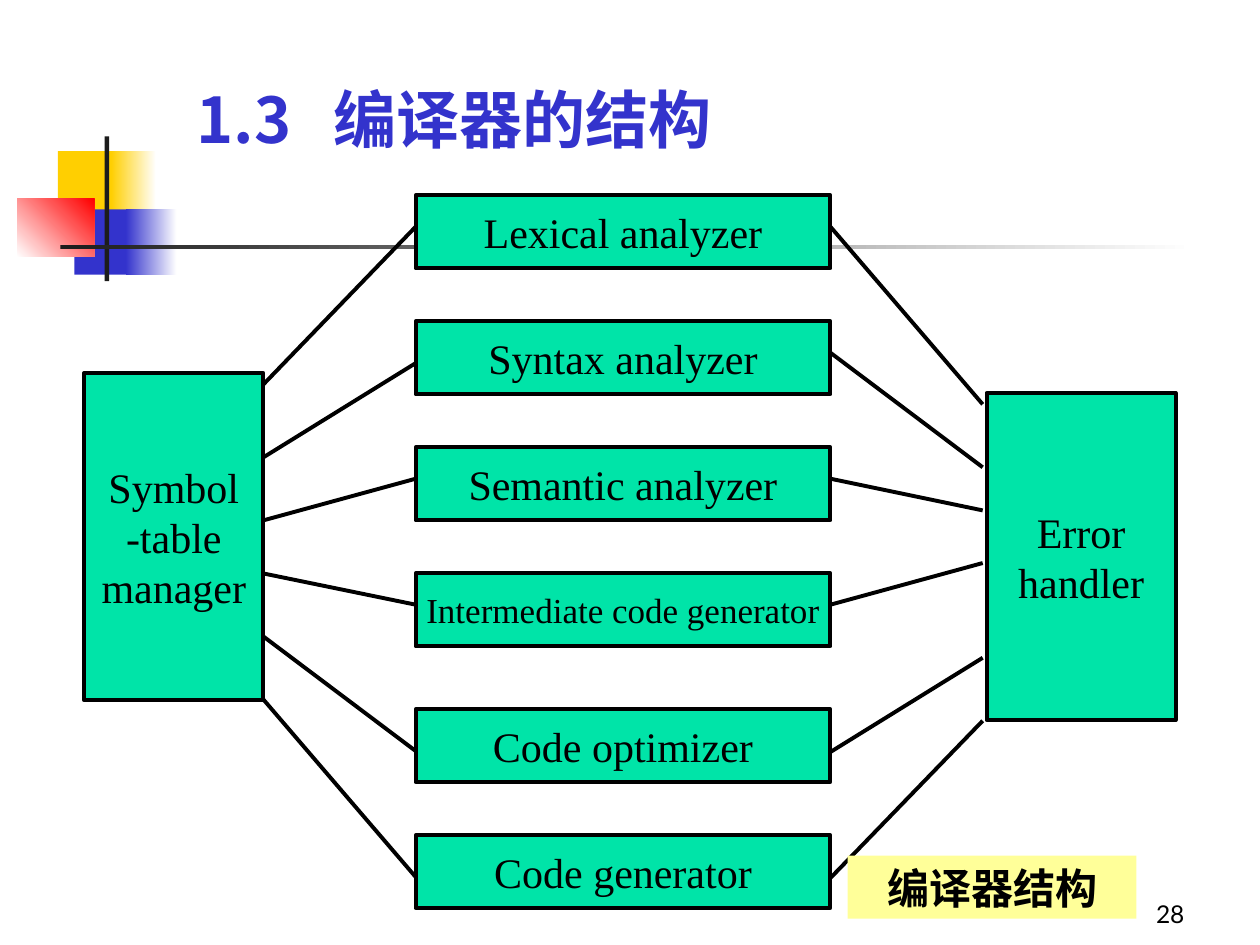
from dataclasses import dataclass

from lxml import etree
from pptx import Presentation
from pptx.dml.color import RGBColor
from pptx.enum import shapes, text
from pptx.oxml import ns
from pptx.util import Cm, Pt


@dataclass(frozen=True)
class Theme:
    black: str = "000000"
    white: str = "FFFFFF"
    dark: str = "1C1C1C"
    yellow: str = "FFCF01"
    blue: str = "3333CC"
    red: str = "FF0000"
    box: str = "00E4A8"
    label: str = "FFFF99"
    serif: str = "Times New Roman"
    chinese: str = "Noto Sans CJK SC"
    number: str = "Lato"
    title_size: int = 36
    body_size: int = 24
    small_size: int = 20
    number_size: int = 14
    line_width: float = 2.25


@dataclass(frozen=True)
class Area:
    """A rectangle in centimetres."""
    left: float
    top: float
    width: float
    height: float

    @property
    def right(self) -> float:
        return self.left + self.width

    def lengths(self) -> tuple:
        return Cm(self.left), Cm(self.top), Cm(self.width), Cm(self.height)


@dataclass(frozen=True)
class Ornament:
    area: Area
    start: str
    end: str = ""
    angle: int = 0


@dataclass(frozen=True)
class Stage:
    """A compiler stage with the heights at which its two lines start and end."""
    name: str
    top: float
    left_y: float
    symbol_y: float
    right_y: float
    error_y: float
    size: int = Theme.body_size


THEME = Theme()
ALIGN = text.PP_ALIGN
ANCHOR = text.MSO_ANCHOR

ORNAMENTS = [
    Ornament(Area(1.17, 3.05, 1.22, 1.32), THEME.yellow),
    Ornament(Area(2.24, 3.05, 0.91, 1.32), THEME.yellow, THEME.white),
    Ornament(Area(1.5, 4.22, 1.17, 1.32), THEME.blue),
    Ornament(Area(2.54, 4.22, 1.02, 1.32), THEME.blue, THEME.white),
    Ornament(Area(0.35, 4.01, 1.55, 1.17), THEME.white, THEME.red, 45),
    Ornament(Area(2.11, 2.75, 0.09, 2.92), THEME.dark),
    Ornament(Area(1.22, 4.94, 22.86, 0.09), THEME.dark, THEME.white),
]

STAGE_LEFT, STAGE_WIDTH, STAGE_HEIGHT = 8.38, 8.36, 1.47
STAGE_RIGHT = STAGE_LEFT + STAGE_WIDTH
STAGES = [
    Stage("Lexical analyzer", 3.94, 4.57, 7.75, 4.57, 8.15),
    Stage("Syntax analyzer", 6.48, 7.32, 9.22, 7.11, 9.42),
    Stage("Semantic analyzer", 9.02, 9.65, 10.49, 9.65, 10.29),
    Stage("Intermediate code generator", 11.56, 12.19, 11.56, 12.19, 11.35, THEME.small_size),
    Stage("Code optimizer", 14.3, 15.14, 12.83, 15.16, 13.26),
    Stage("Code generator", 16.84, 17.68, 14.1, 17.7, 14.53),
]
SYMBOL_TABLE = Area(1.7, 7.52, 3.61, 6.6)
ERROR_HANDLER = Area(19.89, 7.92, 3.81, 6.6)
ERROR_LINE_X = 19.81


def color(value: str) -> RGBColor:
    return RGBColor.from_string(value)


def write(shape, lines: list[str], font: str, size: int, align, anchor,
          ink: str = THEME.black, bold: bool = False, wrap: bool = True) -> None:
    frame = shape.text_frame
    frame.auto_size = text.MSO_AUTO_SIZE.NONE
    frame.word_wrap = wrap
    frame.vertical_anchor = anchor
    frame.text = "\n".join(lines)
    for paragraph in frame.paragraphs:
        paragraph.alignment = align
        paragraph.font.name = font
        paragraph.font.size = Pt(size)
        paragraph.font.bold = bold
        paragraph.font.color.rgb = color(ink)
        if font == THEME.chinese:
            for run in paragraph.runs:
                properties = run._r.get_or_add_rPr()
                etree.SubElement(properties, ns.qn("a:ea"), typeface=font)


def add_rectangle(slide, area: Area, fill: str):
    shape = slide.shapes.add_shape(shapes.MSO_SHAPE.RECTANGLE, *area.lengths())
    shape.shadow.inherit = False
    shape.fill.solid()
    shape.fill.fore_color.rgb = color(fill)
    shape.line.fill.background()
    return shape


def add_ornament(slide, ornament: Ornament) -> None:
    shape = add_rectangle(slide, ornament.area, ornament.start)
    if ornament.end:
        shape.fill.gradient()
        shape.fill.gradient_angle = ornament.angle
        for stop, value in zip(shape.fill.gradient_stops, (ornament.start, ornament.end)):
            stop.color.rgb = color(value)


def add_box(slide, area: Area, lines: list[str], size: int = THEME.body_size) -> None:
    shape = add_rectangle(slide, area, THEME.box)
    shape.line.color.rgb = color(THEME.black)
    shape.line.width = Pt(THEME.line_width)
    write(shape, lines, THEME.serif, size, ALIGN.CENTER, ANCHOR.MIDDLE, wrap=False)


def add_line(slide, x1: float, y1: float, x2: float, y2: float) -> None:
    line = slide.shapes.add_connector(
        shapes.MSO_CONNECTOR.STRAIGHT, Cm(x1), Cm(y1), Cm(x2), Cm(y2))
    line.line.color.rgb = color(THEME.black)
    line.line.width = Pt(THEME.line_width)
    etree.SubElement(line._element.spPr, ns.qn("a:effectLst"))


def add_title(slide) -> None:
    title = slide.shapes.title
    title.left, title.top, title.width, title.height = Area(3.71, 0.91, 18.95, 2.36).lengths()
    write(title, ["1.3\t编译器的结构"], THEME.chinese, THEME.title_size,
          ALIGN.LEFT, ANCHOR.BOTTOM, THEME.blue, bold=True)
    properties = title.text_frame.paragraphs[0]._p.get_or_add_pPr()
    tabs = etree.Element(ns.qn("a:tabLst"))
    etree.SubElement(tabs, ns.qn("a:tab"), pos=str(Cm(2.75)), algn="l")
    properties.insert(0, tabs)


def main() -> None:
    presentation = Presentation()
    presentation.slide_width, presentation.slide_height = Cm(25.4), Cm(19.05)
    slide = presentation.slides.add_slide(presentation.slide_layouts[5])

    for ornament in ORNAMENTS:
        add_ornament(slide, ornament)
    add_title(slide)
    number = slide.shapes.add_textbox(*Area(18.85, 17.58, 5.28, 1.27).lengths())
    write(number, ["28"], THEME.number, THEME.number_size, ALIGN.RIGHT, ANCHOR.BOTTOM)

    add_box(slide, ERROR_HANDLER, ["Error", "handler"])
    for stage in STAGES:
        area = Area(STAGE_LEFT, stage.top, STAGE_WIDTH, STAGE_HEIGHT)
        add_box(slide, area, [stage.name], stage.size)
        add_line(slide, STAGE_LEFT, stage.left_y, SYMBOL_TABLE.right, stage.symbol_y)
        add_line(slide, ERROR_LINE_X, stage.error_y, STAGE_RIGHT, stage.right_y)
    add_box(slide, SYMBOL_TABLE, ["Symbol", "-table", "manager"])

    label = add_rectangle(slide, Area(17.09, 17.25, 5.82, 1.27), THEME.label)
    write(label, ["编译器结构"], THEME.chinese, THEME.body_size,
          ALIGN.CENTER, ANCHOR.BOTTOM, bold=True)

    presentation.save("out.pptx")


if __name__ == "__main__":
    main()
